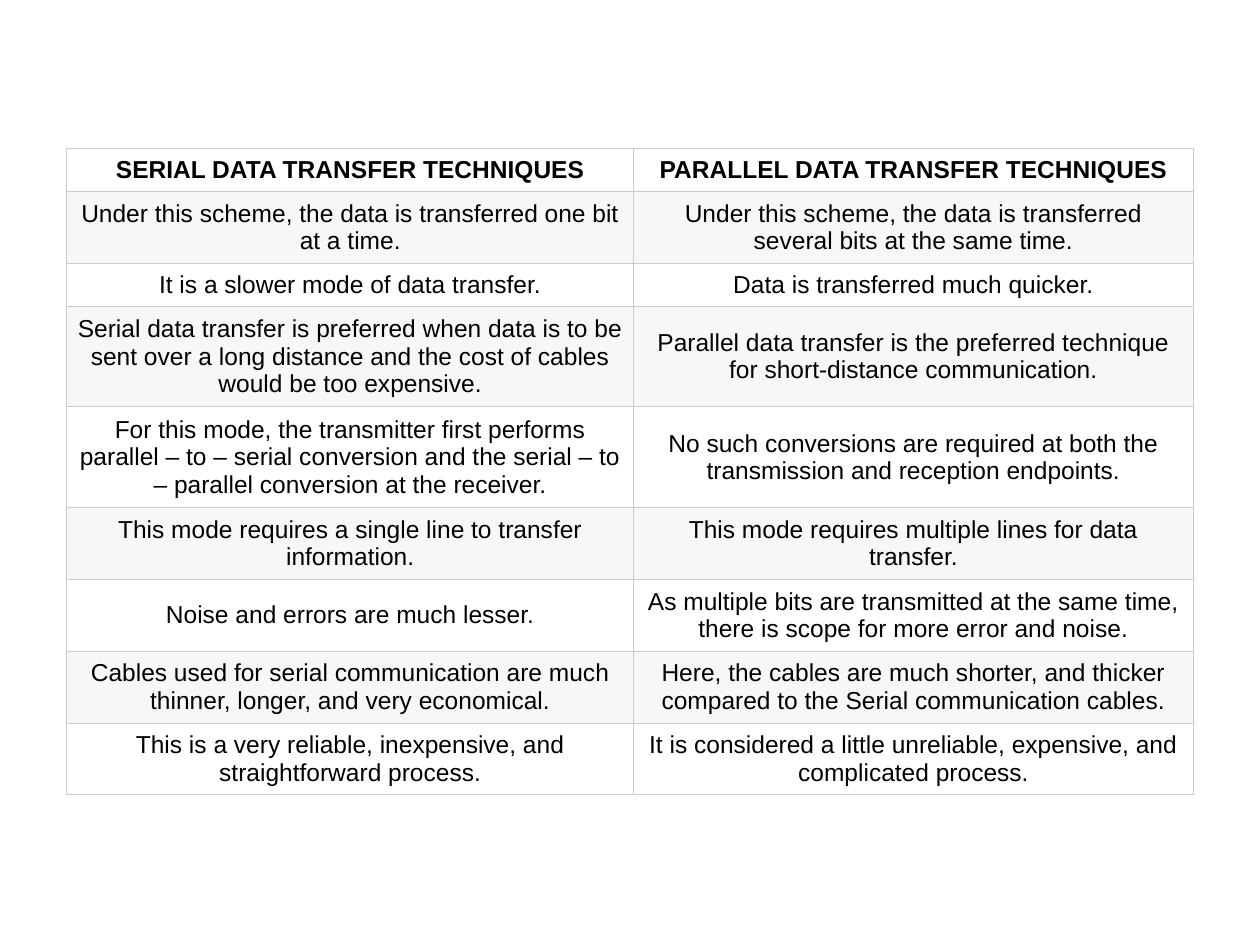
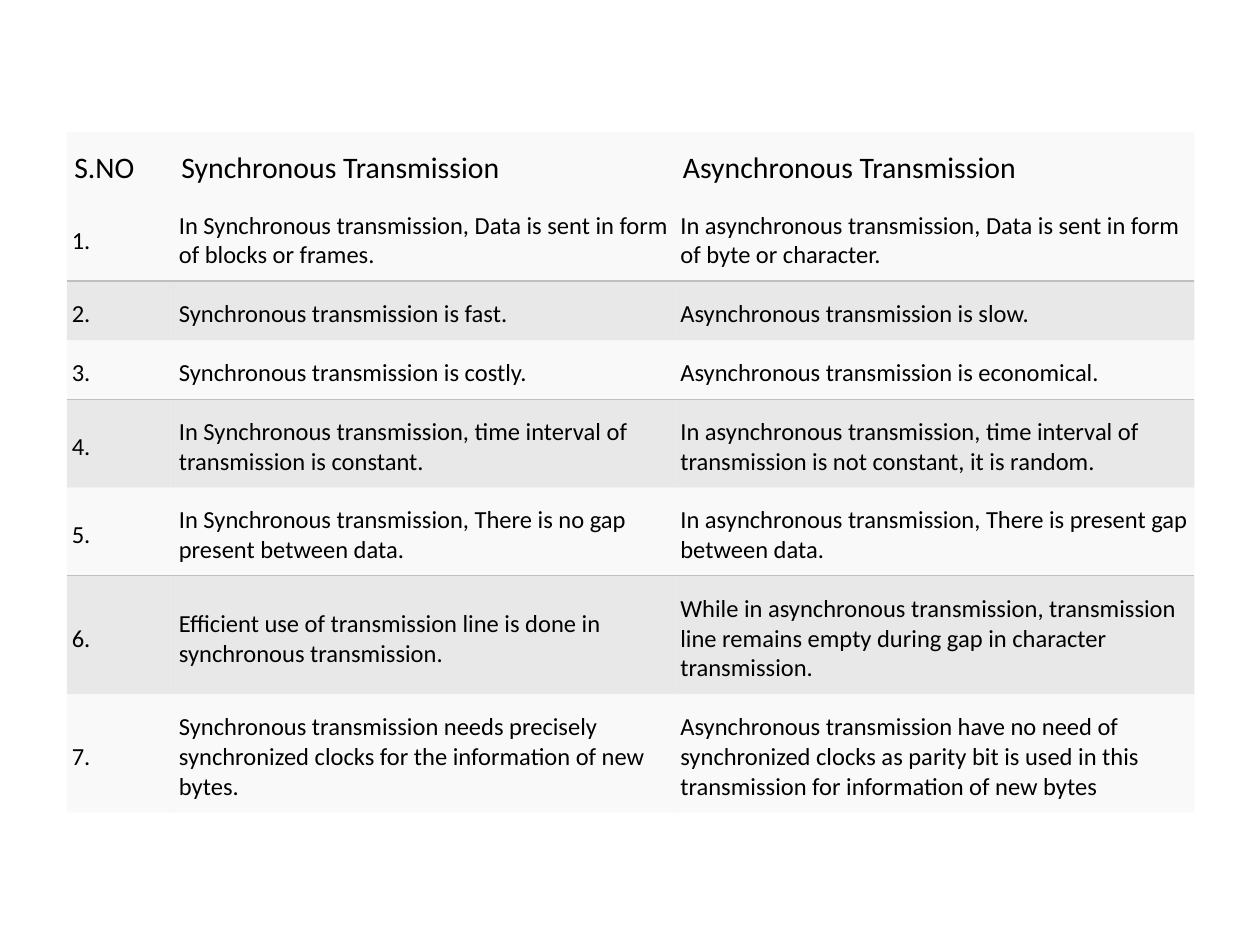
import pptx
import pptx.util
import pptx.dml.color
import pptx.enum.text
import pptx.oxml
import pptx.oxml.ns
from lxml import etree
from pptx.util import Inches

COLORS = {
    "text": "000000",
    "grid": "CCCCCC",
    "stripe": "F7F7F7",
    "light_band": "F2F2F2",
    "dark_band": "BFBFBF",
}
ALIGN = pptx.enum.text.PP_ALIGN
PLAIN_TABLE = "{2D5ABB26-0587-4C30-8999-92F81FD0307C}"
SIDES = "LRTB"

TRANSFER_ROWS = [
    ("SERIAL DATA TRANSFER TECHNIQUES", "PARALLEL DATA TRANSFER TECHNIQUES"),
    ("Under this scheme, the data is transferred one bit at a time.",
     "Under this scheme, the data is transferred several bits at the same time."),
    ("It is a slower mode of data transfer.", "Data is transferred much quicker."),
    ("Serial data transfer is preferred when data is to be sent over a long distance "
     "and the cost of cables would be too expensive.",
     "Parallel data transfer is the preferred technique for short-distance communication."),
    ("For this mode, the transmitter first performs parallel – to – serial conversion "
     "and the serial – to – parallel conversion at the receiver.",
     "No such conversions are required at both the transmission and reception endpoints."),
    ("This mode requires a single line to transfer information.",
     "This mode requires multiple lines for data transfer."),
    ("Noise and errors are much lesser.",
     "As multiple bits are transmitted at the same time, there is scope for more error and noise."),
    ("Cables used for serial communication are much thinner, longer, and very economical.",
     "Here, the cables are much shorter, and thicker compared to the Serial communication cables."),
    ("This is a very reliable, inexpensive, and straightforward process.",
     "It is considered a little unreliable, expensive, and complicated process."),
]

TRANSMISSION_HEADER = ("S.NO", "Synchronous Transmission", "Asynchronous Transmission")
TRANSMISSION_PAIRS = [
    ("In Synchronous transmission, Data is sent in form of blocks or frames.",
     "In asynchronous transmission, Data is sent in form of byte or character."),
    ("Synchronous transmission is fast.", "Asynchronous transmission is slow."),
    ("Synchronous transmission is costly.", "Asynchronous transmission is economical."),
    ("In Synchronous transmission, time interval of transmission is constant.",
     "In asynchronous transmission, time interval of transmission is not constant, it is random."),
    ("In Synchronous transmission, There is no gap present between data.",
     "In asynchronous transmission, There is present gap between data."),
    ("Efficient use of transmission line is done in synchronous transmission.",
     "While in asynchronous transmission, transmission line remains empty during gap "
     "in character transmission."),
    ("Synchronous transmission needs precisely synchronized clocks for the information of new bytes.",
     "Asynchronous transmission have no need of synchronized clocks as parity bit is used "
     "in this transmission for information of new bytes"),
]


class Deck:
    def __init__(self):
        self.presentation = pptx.Presentation()
        self.presentation.slide_width = Inches(10)
        self.presentation.slide_height = Inches(7.5)
        self.slide = None

    def add_slide(self):
        self.slide = self.presentation.slides.add_slide(self.presentation.slide_layouts[6])

    def table(self, left, top, widths, heights, rows, style_for_row):
        frame = self.slide.shapes.add_table(
            len(rows), len(widths), Inches(left), Inches(top),
            Inches(sum(widths)), Inches(sum(heights)))
        table = frame.table
        table.first_row = table.horz_banding = False
        table._tbl.tblPr.find(pptx.oxml.ns.qn("a:tableStyleId")).text = PLAIN_TABLE
        for column, width in zip(table.columns, widths):
            column.width = Inches(width)
        for index, (row, height, texts) in enumerate(zip(table.rows, heights, rows)):
            row.height = Inches(height)
            for cell, text in zip(row.cells, texts):
                self.cell(cell, text, **style_for_row(index))

    def cell(self, cell, text, font, size, insets, bold=False, align=ALIGN.LEFT,
             fill=None, opacity=None, border=None, border_width=1, sides=""):
        cell.text = text
        cell.vertical_anchor = pptx.enum.text.MSO_ANCHOR.MIDDLE
        cell.margin_left, cell.margin_top, cell.margin_right, cell.margin_bottom = map(Inches, insets)
        paragraph = cell.text_frame.paragraphs[0]
        paragraph.alignment = align
        paragraph.font.name = font
        paragraph.font.size = pptx.util.Pt(size)
        paragraph.font.bold = bold
        paragraph.font.color.rgb = pptx.dml.color.RGBColor.from_string(COLORS["text"])
        self.fill(cell, fill, opacity)
        self.borders(cell, border, border_width, sides)

    def fill(self, cell, color, opacity):
        if color is None:
            cell.fill.background()
            return
        cell.fill.solid()
        cell.fill.fore_color.rgb = pptx.dml.color.RGBColor.from_string(COLORS[color])
        if opacity is not None:
            qn = pptx.oxml.ns.qn
            tint = next(cell._tc.tcPr.iter(qn("a:srgbClr")))
            etree.SubElement(tint, qn("a:alpha"), val=str(opacity * 1000))

    def borders(self, cell, color, width, sides):
        namespace = pptx.oxml.ns.nsdecls("a")
        for position, side in enumerate(SIDES):
            paint = "<a:noFill/>"
            if side in sides:
                paint = f'<a:solidFill><a:srgbClr val="{COLORS[color]}"/></a:solidFill>'
            line = f'<a:ln{side} {namespace} w="{pptx.util.Pt(width)}">{paint}</a:ln{side}>'
            cell._tc.tcPr.insert(position, pptx.oxml.parse_xml(line))


def transfer_style(row):
    return dict(font="Arial", size=14, bold=row == 0, align=ALIGN.CENTER,
                insets=(0.08, 0.04, 0.08, 0.04), fill="stripe" if row % 2 else None,
                border="grid", border_width=0.5, sides=SIDES)


def transmission_style(row):
    light = dict(fill="light_band", opacity=45)
    if row == 0:
        return dict(font="Calibri", size=17, insets=(0.06, 0.12, 0.06, 0.03), **light)
    band = light if row % 2 else dict(fill="dark_band", opacity=35)
    last = row == len(TRANSMISSION_PAIRS)
    sides = "" if last else "B" if row % 2 else "T"
    return dict(font="Calibri", size=14, insets=(0.04, 0.12, 0.04, 0.06),
                border="dark_band", sides=sides, **band)


def main():
    deck = Deck()

    deck.add_slide()
    one_line, two_lines, three_lines = 0.34, 0.57, 0.8
    transfer_heights = [one_line, two_lines, one_line] + [three_lines] * 2 + [two_lines] * 4
    deck.table(0.53, 1.18, [4.5, 4.44], transfer_heights, TRANSFER_ROWS, transfer_style)

    deck.add_slide()
    one_line, two_lines, three_lines = 0.47, 0.7, 0.94
    transmission_heights = ([0.48, two_lines] + [one_line] * 2
                            + [two_lines] * 2 + [three_lines] * 2)
    transmission_rows = [TRANSMISSION_HEADER] + [
        (f"{number}.", *pair) for number, pair in enumerate(TRANSMISSION_PAIRS, 1)]
    deck.table(0.53, 1.05, [0.85, 3.98, 4.12], transmission_heights,
               transmission_rows, transmission_style)

    deck.presentation.save("out.pptx")


if __name__ == "__main__":
    main()
